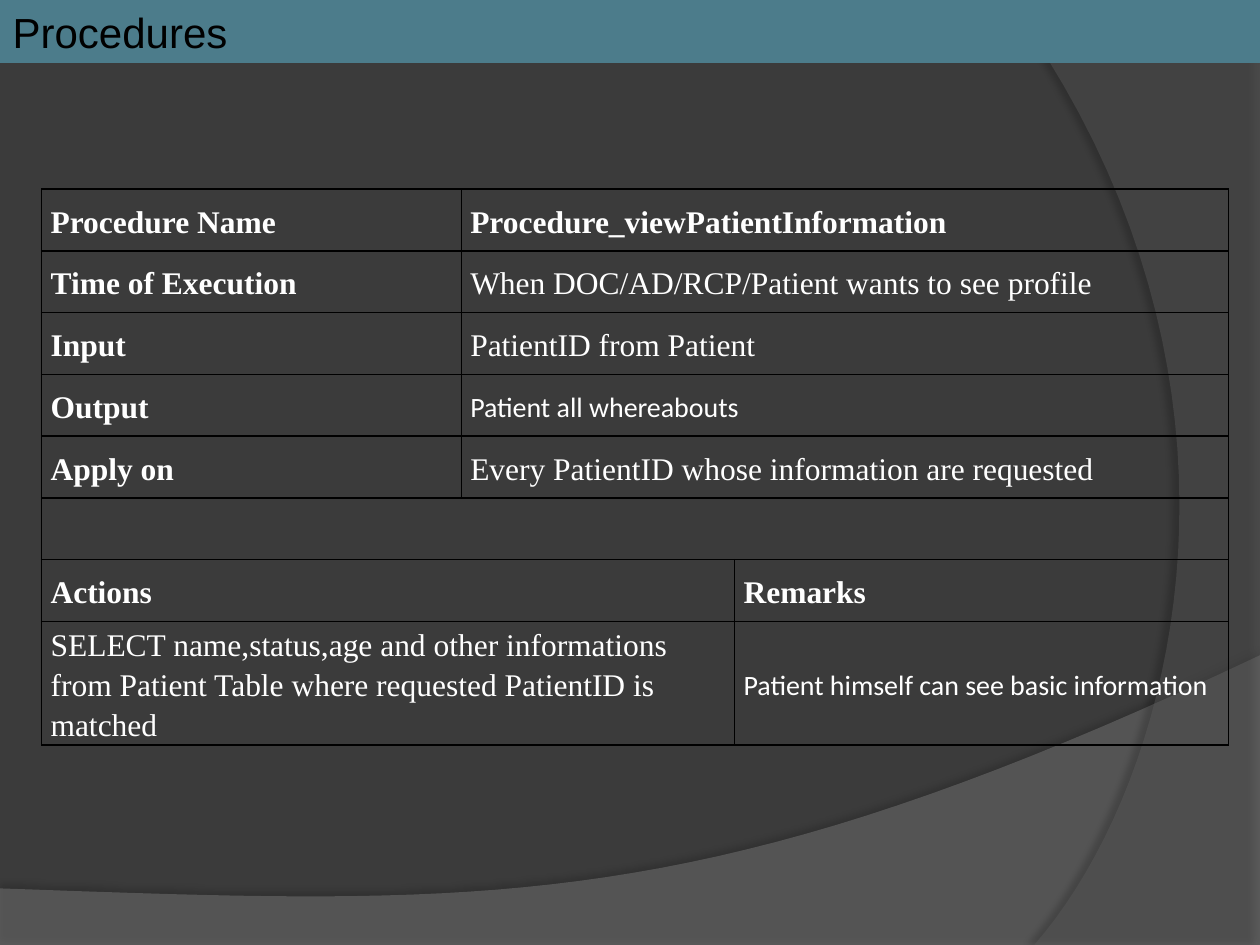
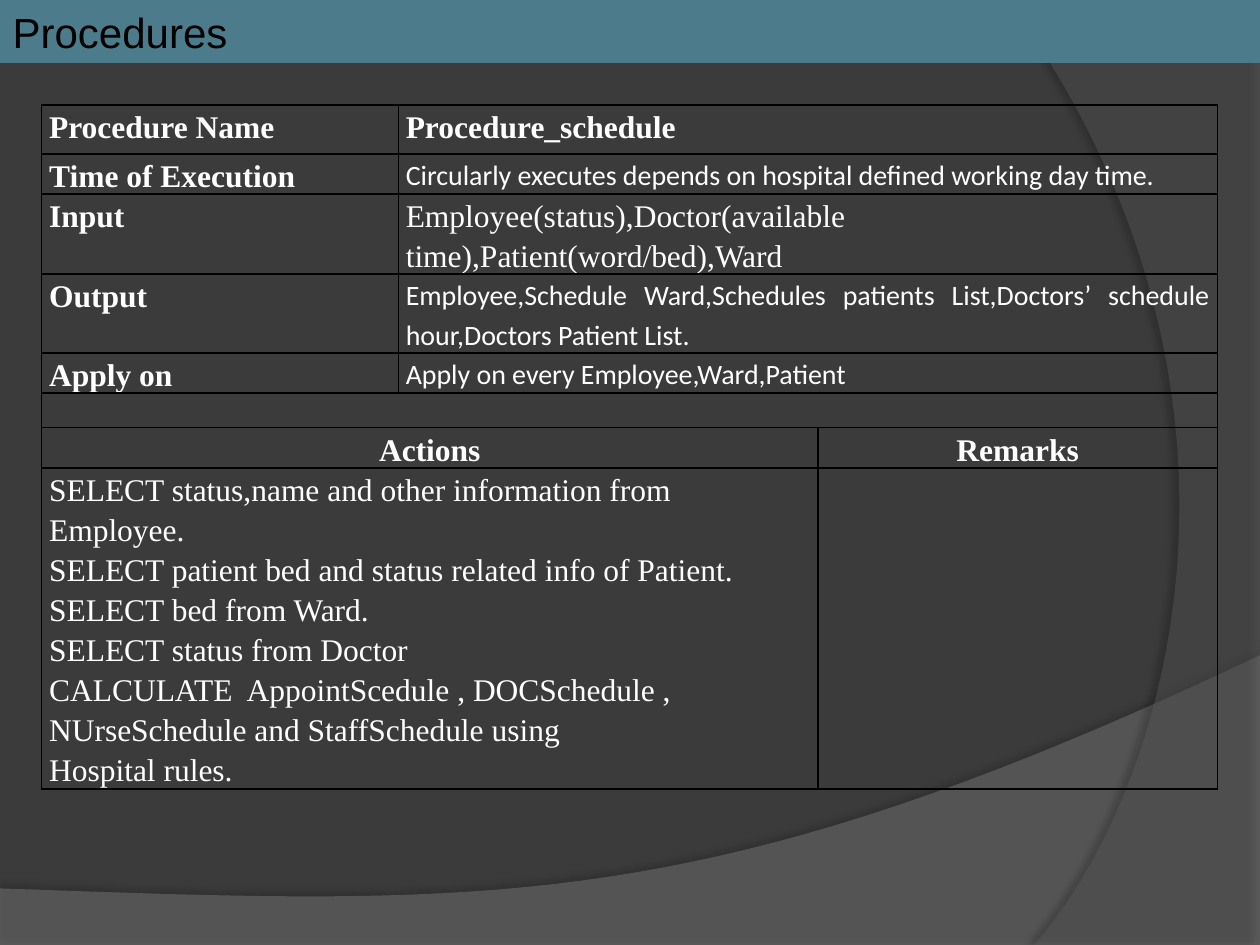
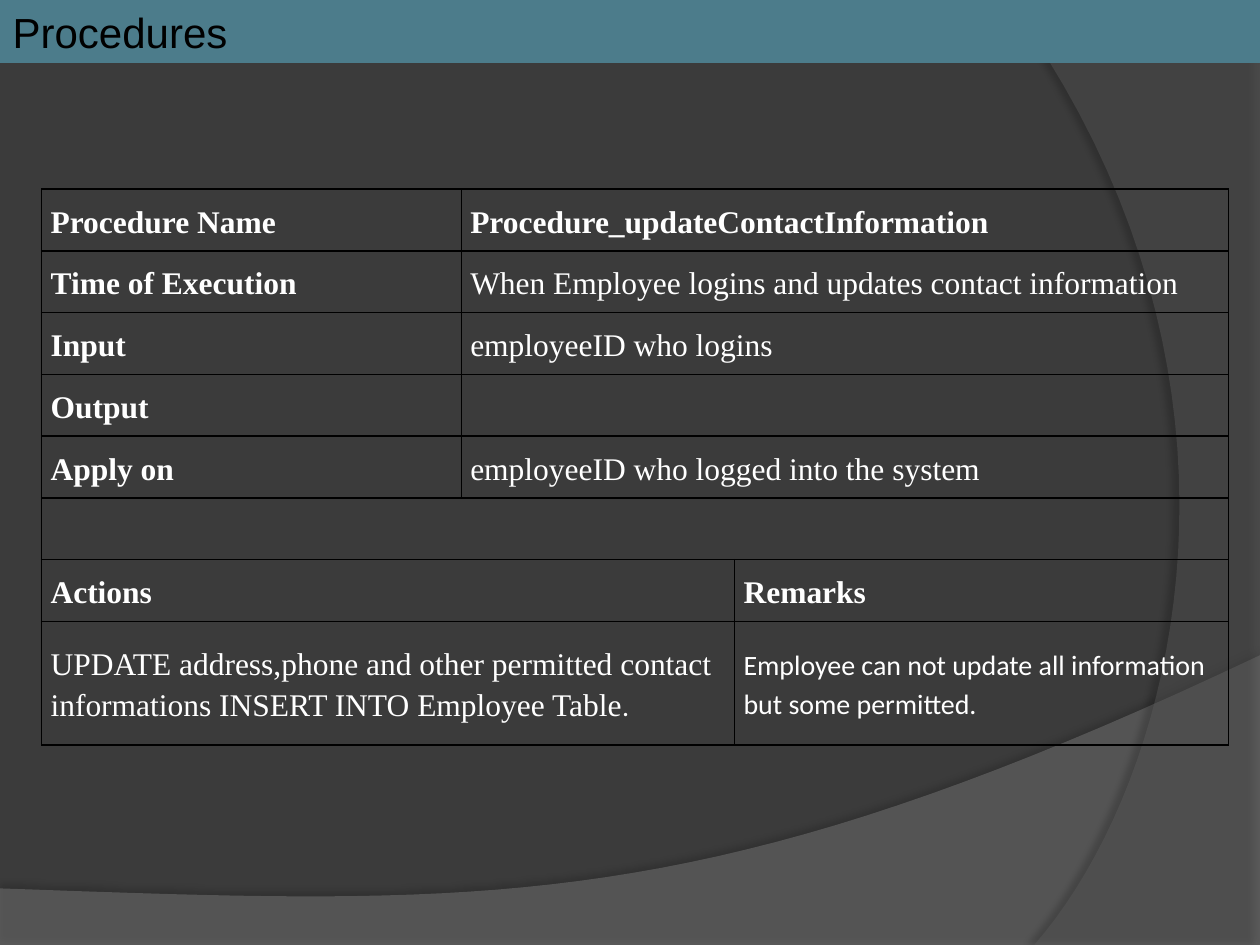
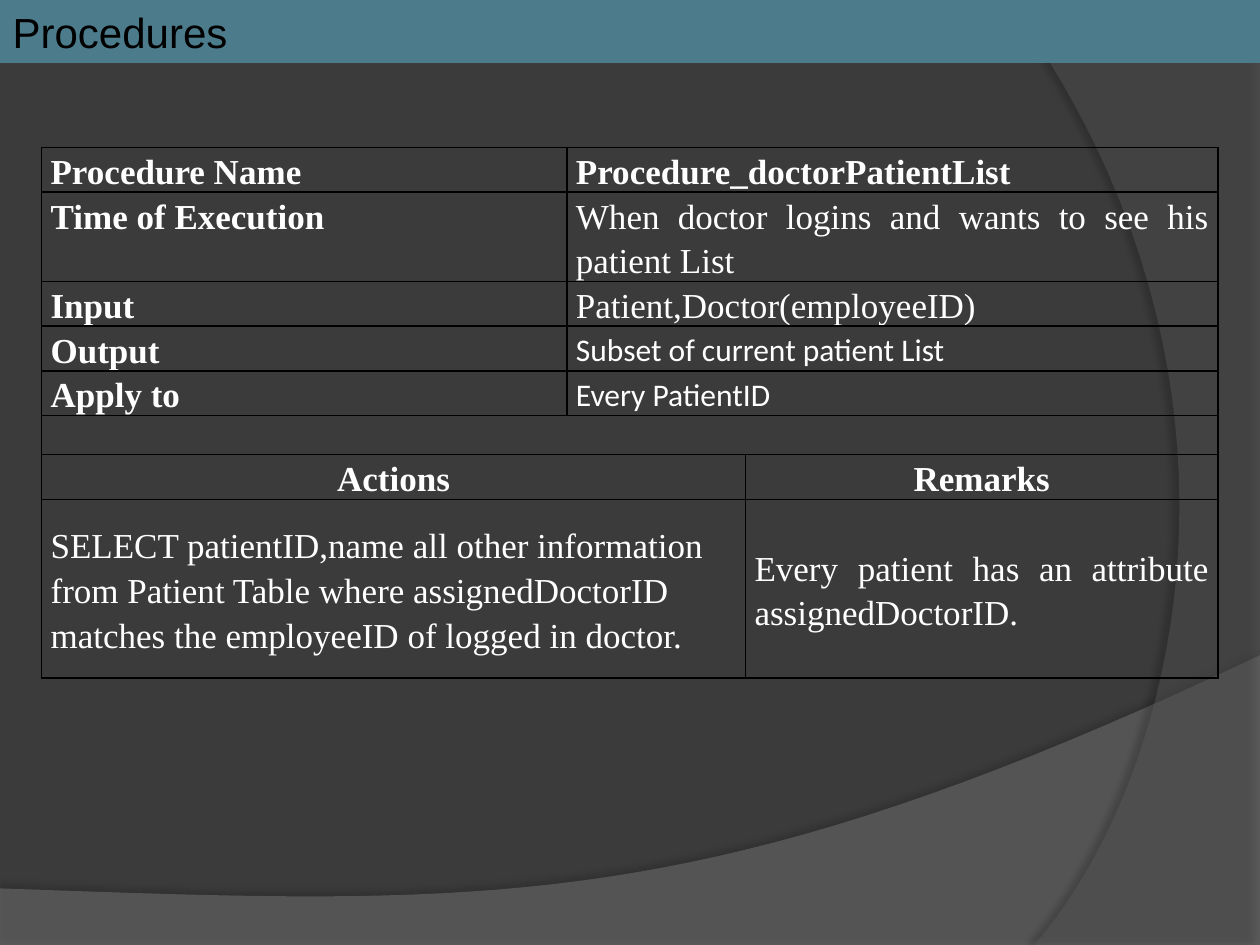
from dataclasses import dataclass

from lxml.etree import SubElement
from pptx import Presentation
from pptx.dml.color import RGBColor
from pptx.enum.text import MSO_ANCHOR as Anchor, MSO_AUTO_SIZE as AutoSize, PP_ALIGN as Align
from pptx.oxml.ns import qn
from pptx.util import Cm, Pt

BACKDROP = RGBColor(0x3B, 0x3B, 0x3B)
HILL = RGBColor(0x7F, 0x7F, 0x7F)
ARC = RGBColor(0x5E, 0x5E, 0x5E)
BAND = RGBColor(0x4C, 0x7C, 0x8B)
BLACK = RGBColor(0, 0, 0)
WHITE = RGBColor(0xFF, 0xFF, 0xFF)

WIDTH, HEIGHT, BAND_HEIGHT = 25.4, 19.05, 1.27
TABLE_LEFT = 0.84
LINE_SPACING = 1.15
EMPTY_SIZE = 14
FIELDS = ["Procedure Name", "Time of Execution", "Input", "Output"]

# Font name, bold, points below the base size of the table
LABEL = ("Times New Roman", True, 0)
SERIF = ("Times New Roman", False, 0)
SANS = ("Calibri", False, 2)


@dataclass
class Sheet:
    """Look of one procedure table, lengths in centimetres."""
    top: float
    columns: list
    rows: list
    size: int = 18
    inset: float = 0.18
    field_align: Align = Align.LEFT
    head_align: Align = Align.LEFT
    anchor: Anchor = Anchor.MIDDLE


@dataclass
class Procedure:
    """Wording of one procedure; actions and remarks are lists of paragraphs of runs."""
    sheet: Sheet
    values: list
    actions: list
    remarks: list
    last_field: str = "Apply on"


def set_all(target, formats):
    """Set every attribute named in formats on target."""
    for name, value in formats.items():
        setattr(target, name, value)


def curve(start, first, second, end, steps=40):
    """Return points along a cubic curve, in centimetres."""
    points = []
    for step in range(steps + 1):
        t = step / steps
        u = 1 - t
        weights = (u ** 3, 3 * u * u * t, 3 * u * t * t, t ** 3)
        points.append(tuple(sum(w * p[axis] for w, p in zip(weights, (start, first, second, end)))
                            for axis in (0, 1)))
    return points


def add_swoosh(slide, master, outline, color, opacity, shade, distance, direction):
    """Draw a translucent outline with a soft shadow and place it on the master."""
    corners = [(Cm(x), Cm(y)) for x, y in outline]
    builder = slide.shapes.build_freeform(*corners[0])
    builder.add_line_segments(corners[1:], close=True)
    swoosh = builder.convert_to_shape()
    swoosh.fill.solid()
    swoosh.fill.fore_color.rgb = color
    swoosh.line.fill.background()
    swoosh.shadow.inherit = False
    tint = swoosh.element.spPr.find(qn("a:solidFill"))[0]
    SubElement(tint, qn("a:alpha"), val=str(opacity * 1000))
    effects = swoosh.element.spPr.find(qn("a:effectLst"))
    shadow = SubElement(effects, qn("a:outerShdw"), blurRad=str(Pt(4)), dist=str(Pt(distance)),
                        dir=str(direction * 60000), algn="ctr", rotWithShape="0")
    shadow_color = SubElement(shadow, qn("a:srgbClr"), val=str(BLACK))
    SubElement(shadow_color, qn("a:alpha"), val=str(shade * 1000))
    # Behind the placeholders, after the two property elements of the tree
    behind = sum(child.tag != qn("p:sp") for child in master.shapes.element[:2])
    while master.shapes.element[behind].get("id") is None and behind < 2:
        behind += 1
    master.shapes.element.insert(behind, swoosh.element)


def dress_master(deck, slide):
    """Give the master its backdrop, hill and arc."""
    master = deck.slide_master
    fill = master.background.fill
    fill.solid()
    fill.fore_color.rgb = BACKDROP
    arc = [(WIDTH, 0.05), (WIDTH, HEIGHT)]
    arc += curve((20.85, HEIGHT), (23.75, 15.72), (25.86, 7.62), (20.32, 0))
    add_swoosh(slide, master, arc, ARC, 40, 45, 4, 180)
    hill = [(0, 17.91), (0, 19.08), (WIDTH, 19.08)]
    hill += curve((WIDTH, 13.21), (14.2, 18.52), (9.93, 18.26), (0, 17.91))
    add_swoosh(slide, master, hill, HILL, 45, 35, 3.5, 270)


def add_title_band(slide, left, top, width, height):
    """Turn the title placeholder into the coloured band."""
    band = slide.shapes.title
    set_all(band, dict(left=Cm(left), top=Cm(top), width=Cm(width), height=Cm(height)))
    band.fill.solid()
    band.fill.fore_color.rgb = BAND
    frame = band.text_frame
    frame.text = "Procedures"
    set_all(frame, dict(word_wrap=True, auto_size=AutoSize.NONE,
                        vertical_anchor=Anchor.MIDDLE))
    heading = frame.paragraphs[0]
    heading.alignment = Align.LEFT
    set_all(heading.runs[0].font, dict(name="Arial", size=Pt(24), bold=False))
    heading.runs[0].font.color.rgb = BLACK


def dress_cell(cell, inset):
    """Give a cell black borders, no fill, narrow insets and a small empty line."""
    properties = cell._tc.get_or_add_tcPr()
    for side in ("lnL", "lnR", "lnT", "lnB"):
        border = SubElement(properties, qn("a:" + side), w=str(Pt(1)))
        ink = SubElement(border, qn("a:solidFill"))
        SubElement(ink, qn("a:srgbClr"), val=str(BLACK))
    cell.fill.background()
    set_all(cell, dict(margin_left=Cm(inset), margin_right=Cm(inset),
                       margin_top=0, margin_bottom=0))
    line = cell.text_frame.paragraphs[0]
    SubElement(line._p, qn("a:endParaRPr"), sz=str(EMPTY_SIZE * 100))


def write_cell(cell, lines, size, align, anchor):
    """Write paragraphs of (text, style) runs into a cell."""
    cell.vertical_anchor = anchor
    frame = cell.text_frame
    for index, runs in enumerate(lines):
        line = frame.add_paragraph() if index else frame.paragraphs[0]
        set_all(line, dict(alignment=align, line_spacing=LINE_SPACING))
        for text, (font, bold, smaller) in runs:
            run = line.add_run()
            run.text = text
            set_all(run.font, dict(name=font, bold=bold, size=Pt(size - smaller)))
            run.font.color.rgb = WHITE


def add_procedure_table(slide, procedure, left):
    """Place the fields, the spacer row, and the actions with their remarks."""
    sheet = procedure.sheet
    frame = slide.shapes.add_table(len(sheet.rows), len(sheet.columns), Cm(left), Cm(sheet.top),
                                   Cm(sum(sheet.columns)), Cm(sum(sheet.rows)))
    grid = frame.table
    set_all(grid, dict(first_row=False, horz_banding=False))
    for column, width in zip(grid.columns, sheet.columns):
        column.width = Cm(width)
    for row, height in zip(grid.rows, sheet.rows):
        row.height = Cm(height)
    for cell in grid.iter_cells():
        dress_cell(cell, sheet.inset)

    fields = FIELDS + [procedure.last_field]
    for row, (field, value) in enumerate(zip(fields, procedure.values)):
        grid.cell(row, 1).merge(grid.cell(row, 2))
        for column, run in enumerate([(field, LABEL), value]):
            if run:
                write_cell(grid.cell(row, column), [[run]], sheet.size,
                           sheet.field_align, sheet.anchor)

    spacer = len(fields)
    heads, details = spacer + 1, spacer + 2
    grid.cell(spacer, 0).merge(grid.cell(spacer, 2))
    for row in (heads, details):
        grid.cell(row, 0).merge(grid.cell(row, 1))
    for column, head, anchor in ((0, "Actions", sheet.anchor), (2, "Remarks", Anchor.MIDDLE)):
        write_cell(grid.cell(heads, column), [[(head, LABEL)]], sheet.size,
                   sheet.head_align, anchor)
    write_cell(grid.cell(details, 0), procedure.actions, sheet.size, Align.LEFT, Anchor.MIDDLE)
    write_cell(grid.cell(details, 2), procedure.remarks, sheet.size,
               sheet.field_align, Anchor.MIDDLE)


def add_procedure_slide(deck, procedure):
    """Add one slide with its title band and procedure table."""
    slide = deck.slides.add_slide(deck.slide_layouts.get_by_name("Title Only"))
    add_title_band(slide, 0, 0, WIDTH, BAND_HEIGHT)
    add_procedure_table(slide, procedure, TABLE_LEFT)
    return slide


AIRY = Sheet(top=3.81, columns=[8.46, 5.51, 9.96], rows=[1.245] * 7 + [2.49])
DENSE = dict(field_align=Align.JUSTIFY, head_align=Align.CENTER, anchor=Anchor.TOP)
SCHEDULE = Sheet(top=2.12, columns=[7.19, 8.46, 8.05], inset=0.15,
                 rows=[0.98, 0.81, 1.61, 1.58, 0.81, 0.7, 0.8, 6.47], **DENSE)
PATIENT_LIST = Sheet(top=2.97, columns=[10.59, 3.6, 9.52], size=20,
                     rows=[0.89, 1.8, 0.89, 0.9, 0.9, 0.79, 0.89, 3.6], **DENSE)

PROCEDURES = [
    Procedure(
        AIRY,
        [("Procedure_viewPatientInformation", LABEL),
         ("When DOC/AD/RCP/Patient wants to see profile", SERIF),
         ("PatientID from Patient", SERIF),
         ("Patient all whereabouts", SANS),
         ("Every PatientID whose information are requested", SERIF)],
        [[("SELECT name,status,age and other informations from Patient Table "
           "where requested PatientID is matched", SERIF)]],
        [[("Patient himself can see basic information", SANS)]]),
    Procedure(
        SCHEDULE,
        [("Procedure_schedule", LABEL),
         ("Circularly executes depends on hospital defined working day time.", SANS),
         ("Employee(status),Doctor(available time),Patient(word/bed),Ward", SERIF),
         ("Employee,Schedule Ward,Schedules patients List,Doctors’ schedule hour,"
          "Doctors Patient List.", SANS),
         ("Apply on every Employee,Ward,Patient", SANS)],
        [[(action, SERIF)] for action in (
            "SELECT status,name and other information from Employee.",
            "SELECT patient bed and status related info of Patient.",
            "SELECT bed from Ward.",
            "SELECT status from Doctor",
            "CALCULATE  AppointScedule , DOCSchedule , NUrseSchedule and StaffSchedule using",
            "Hospital rules.")],
        []),
    Procedure(
        AIRY,
        [("Procedure_updateContactInformation", LABEL),
         ("When Employee logins and updates contact information", SERIF),
         ("employeeID who logins", SERIF),
         None,
         ("employeeID who logged into the system", SERIF)],
        [[("UPDATE address,phone and other permitted contact informations "
           "INSERT INTO Employee Table", SERIF), (".", SANS)]],
        [[("Employee can not update all information but some permitted.", SANS)]]),
    Procedure(
        PATIENT_LIST,
        [("Procedure_doctorPatientList", LABEL),
         ("When doctor logins and wants to see his patient List", SERIF),
         ("Patient,Doctor(employeeID)", SERIF),
         ("Subset of current patient List", SANS),
         ("Every PatientID", SANS)],
        [[("SELECT patientID,name all other information from Patient Table where "
           "assignedDoctorID matches the employeeID of logged in doctor.", SERIF)]],
        [[("Every patient has an attribute assignedDoctorID.", SERIF)]],
        last_field="Apply to"),
]

deck = Presentation()
set_all(deck, dict(slide_width=Cm(WIDTH), slide_height=Cm(HEIGHT)))
procedure_slides = [add_procedure_slide(deck, procedure) for procedure in PROCEDURES]
dress_master(deck, procedure_slides[0])
deck.save("out.pptx")
